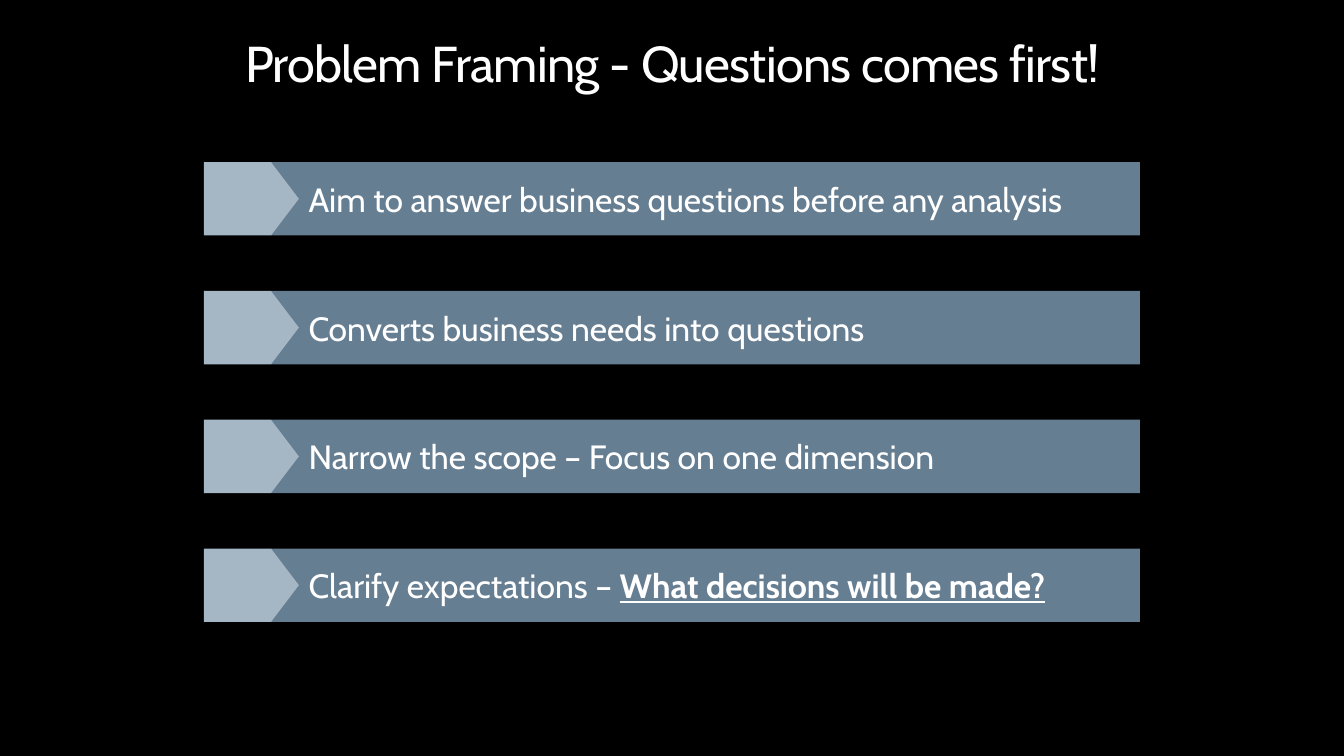
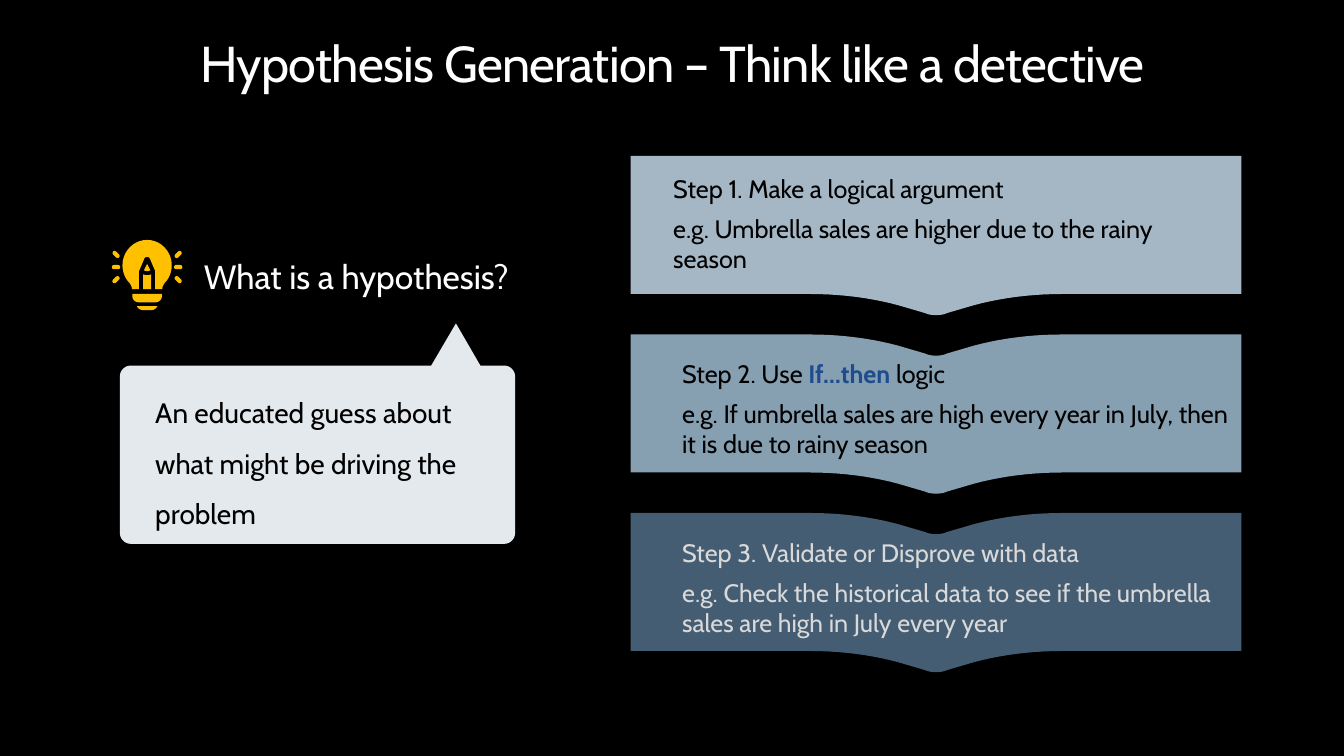
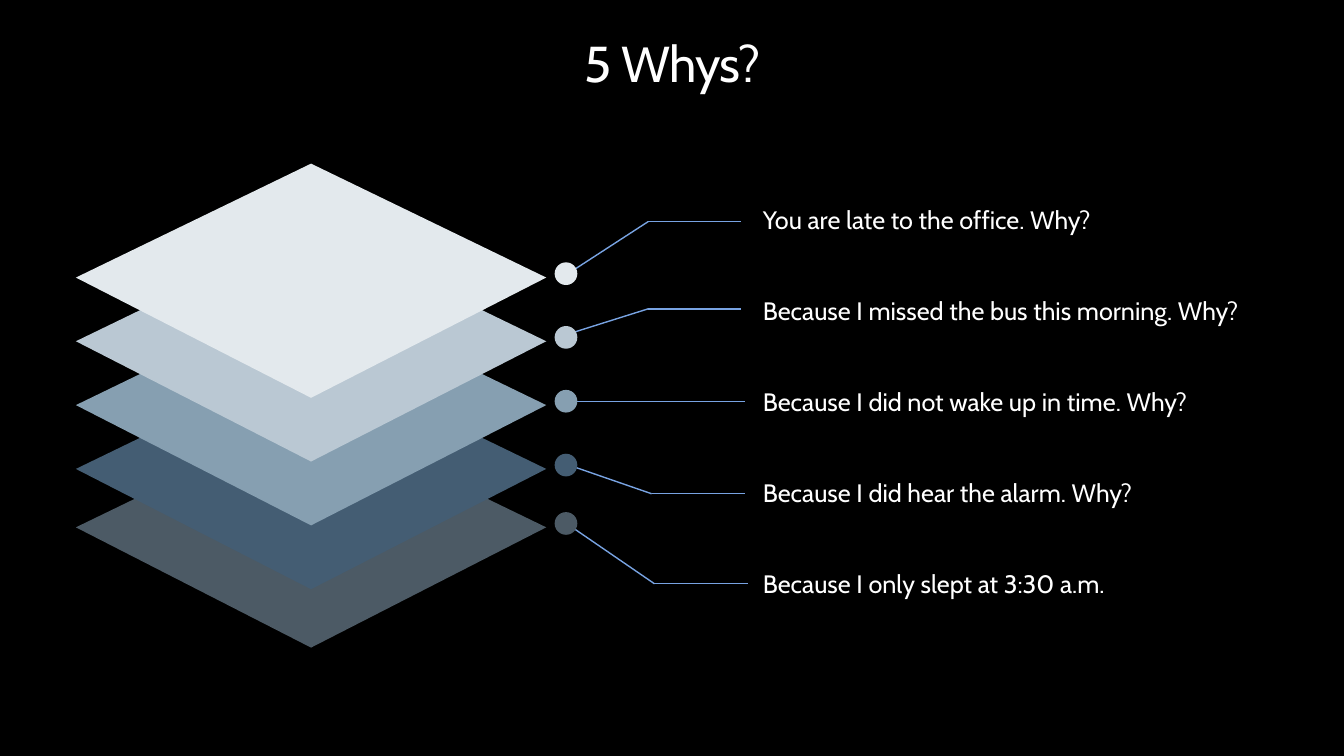
from dataclasses import dataclass
from itertools import pairwise
from pptx import Presentation
from pptx.dml.color import RGBColor
from pptx.enum.shapes import MSO_CONNECTOR, MSO_SHAPE
from pptx.enum.text import MSO_ANCHOR, PP_ALIGN
from pptx.oxml.ns import qn
from pptx.util import Pt


@dataclass(frozen=True)
class Theme:
    font: str = "Cabin"
    back: str = "000000"
    white: str = "FFFFFF"
    black: str = "000000"
    soft: str = "D9D9D9"
    accent: str = "1F4C8E"
    bar: str = "667E92"
    tab: str = "A5B7C5"
    pale: str = "E3E9ED"
    mist: str = "BAC8D3"
    steel: str = "869FB1"
    navy: str = "445D73"
    slate: str = "4C5A65"
    gold: str = "FFC000"
    lead: str = "78A3E2"
    title: int = 36
    head: int = 24
    note: int = 20
    body: int = 18


T = Theme()

FRAMING = "Problem Framing - Questions comes first!"
STRONG = {"bold": True, "underline": True}
BARS = [
    [("Aim to answer business questions before any analysis", {})],
    [("Converts business needs into questions", {})],
    [("Narrow the scope – Focus on one dimension", {})],
    [("Clarify expectations – ", {}), ("What decisions will be made?", STRONG)],
]

GUESS = "Hypothesis Generation – Think like a detective"
ASK = "What is a hypothesis?"
REPLY = "An educated guess about what might be driving the problem"
STEPS = [
    (T.tab, T.black, 473.8, 8.8,
     [("Step 1. Make a logical argument", {})],
     "e.g. Umbrella sales are higher due to the rainy season"),
    (T.steel, T.black, 480.2, 13.8,
     [("Step 2. Use ", {}), ("If…then ", {"bold": True, "ink": T.accent}),
      ("logic", {})],
     "e.g. If umbrella sales are high every year in July, "
     "then it is due to rainy season"),
    (T.navy, T.soft, 480.2, 13.8,
     [("Step 3. Validate or Disprove with data", {})],
     "e.g. Check the historical data to see if the umbrella "
     "sales are high in July every year"),
]

WHYS = "5 Whys?"
LAYERS = [
    ("You are late to the office. Why?", T.pale, 116.9,
     [(405.4, 195.7), (463, 158.3), (529.2, 158.3)]),
    ("Because I missed the bus this morning. Why?", T.mist, 162.4,
     [(409, 237.6), (463, 220.6), (529.2, 220.6)]),
    ("Because I did not wake up in time. Why?", T.steel, 208,
     [(409, 286.7), (532, 286.7)]),
    ("Because I did hear the alarm. Why?", T.navy, 253.6,
     [(407.5, 332.6), (465.5, 352.7), (532, 352.7)]),
    ("Because I only slept at 3:30 a.m.", T.slate, 295.3,
     [(405.4, 374.4), (467.5, 417), (534.2, 417)]),
]

BULB = [
    [(0, 171.4), (9.7, 171.4, 17.6, 179.6, 17.6, 189.4),
     (17.6, 193.7, 16.2, 197.7, 13.7, 200.9),
     (12.2, 202.3, 10.8, 204.5, 10.8, 206.6), (5.8, 206.6), (5.8, 193.7),
     (1.8, 184.3), (1.4, 183.8, 0.7, 183.6, 0, 183.6)],
    [(0, 188.6), (2.3, 193.1), (1.5, 193.5, 0.7, 193.7, 0, 193.7)],
    [(0, 196.6), (1, 196.6, 2, 196.3, 2.9, 195.9), (2.9, 206.6), (0, 206.6)],
    [(0, 210), (10.5, 210), (10.5, 211.7),
     (10.5, 214, 8.6, 216, 5.8, 216), (0, 216)],
    [(0, 218.7), (7.3, 218.7), (6.5, 220.4, 4.9, 221.5, 2.9, 221.5),
     (0, 221.5)],
]
DIP = [(90, 0), (67.8, 0, 46, 2.9, 27.4, 7.9), (7.9, 13.6),
       (5.4, 14.8, 2.7, 15.1, 0, 15.1)]
LAYER = [(0, 0), (168, 81.4), (0, 167.3)]


def box(x, y, w, h):
    return Pt(x), Pt(y), Pt(w), Pt(h)


def rgb(hue):
    return RGBColor.from_string(hue)


def apply(item, vals):
    for name, val in vals.items():
        setattr(item, name, val)


def trace(path, cuts=10):
    pts = [path[0]]
    for step in path[1:]:
        if len(step) == 2:
            pts.append(step)
            continue
        knots = [pts[-1], step[:2], step[2:4], step[4:]]
        for i in range(1, cuts + 1):
            t = i / cuts
            s = 1 - t
            mix = (s ** 3, 3 * s * s * t, 3 * s * t * t, t ** 3)
            pts.append(tuple(sum(m * k[a] for m, k in zip(mix, knots))
                             for a in (0, 1)))
    return pts


def mirror(half, mid, top=0):
    left = [(-x, y) for x, y in reversed(half)]
    return [(mid + x, top + y) for x, y in half + left]


def paint(shape, hue):
    shape.shadow.inherit = False
    shape.fill.solid()
    shape.fill.fore_color.rgb = rgb(hue)
    shape.line.fill.background()
    return shape


def solid(shapes, kind, area, hue):
    return paint(shapes.add_shape(kind, *box(*area)), hue)


def outline(shapes, pts, hue):
    first, *rest = [(Pt(x), Pt(y)) for x, y in pts]
    pen = shapes.build_freeform(*first)
    pen.add_line_segments(rest, close=True)
    return paint(pen.convert_to_shape(), hue)


def write(shape, paras, size, ink, frame=None, form=None):
    text = shape.text_frame
    apply(text, {"word_wrap": True, **(frame or {})})
    for i, runs in enumerate(paras):
        para = text.add_paragraph() if i else text.paragraphs[0]
        apply(para, {"alignment": PP_ALIGN.LEFT, **(form or {})})
        if i:
            para.space_before = Pt(6.8)
        for words, extra in runs:
            run = para.add_run()
            run.text = words
            look = {"name": T.font, "size": Pt(size), **extra}
            run.font.color.rgb = rgb(look.pop("ink", ink))
            apply(run.font, look)


def label(slide, area, paras, size, ink):
    write(slide.shapes.add_textbox(*box(*area)), paras, size, ink)


def line(slide, start, end):
    ends = [Pt(v) for v in (*start, *end)]
    link = slide.shapes.add_connector(MSO_CONNECTOR.STRAIGHT, *ends)
    link.line.color.rgb = rgb(T.lead)
    link.line.width = Pt(1)
    props = link.element.spPr
    props.append(props.makeelement(qn("a:effectLst"), {}))


def setup():
    deck = Presentation()
    apply(deck, {"slide_width": Pt(960), "slide_height": Pt(540)})
    fill = deck.slide_master.background.fill
    fill.solid()
    fill.fore_color.rgb = rgb(T.back)
    place = dict(zip(("left", "top", "width", "height"),
                     box(32.4, 22.3, 895.7, 50.4)))
    apply(deck.slide_layouts[5].placeholders[0], place)
    return deck


def page(deck, title):
    slide = deck.slides.add_slide(deck.slide_layouts[5])
    head = slide.shapes.title
    write(head, [[(title, {})]], T.title, T.white,
          {"vertical_anchor": MSO_ANCHOR.MIDDLE},
          {"alignment": PP_ALIGN.CENTER, "line_spacing": 0.9})
    for props in head.element.iter(qn("a:rPr")):
        props.set("spc", "-50")
    return slide


def framing(deck):
    slide = page(deck, FRAMING)
    frame = {"vertical_anchor": MSO_ANCHOR.MIDDLE, "margin_left": Pt(26.8)}
    for i, runs in enumerate(BARS):
        top = 115.8 + 92 * i
        bar = solid(slide.shapes, MSO_SHAPE.RECTANGLE,
                    (193.6, top, 620.7, 52.4), T.bar)
        write(bar, [runs], T.head, T.white, frame)
        tab = solid(slide.shapes, MSO_SHAPE.PENTAGON,
                    (145.7, top, 67.8, 52.4), T.tab)
        tab.adjustments[0] = 0.38


def bulb(slide):
    mid = 105.1
    parts = slide.shapes.add_group_shape().shapes
    for half in BULB:
        outline(parts, mirror(trace(half), mid), T.gold)
    for side in (-1, 1):
        for row in (-1, 0, 1):
            area = (mid + 22.2 * side - 3, 190.8 + 9 * row - 1.5, 6, 3)
            ray = solid(parts, MSO_SHAPE.ROUNDED_RECTANGLE, area, T.gold)
            ray.adjustments[0] = 0.5
            ray.rotation = 45 * side * row


def callout(slide):
    x, y, r, b, c = 85.7, 261.2, 367.9, 388.4, 7.2
    path = [(x + c, y), (308, y), (325.7, 231), (343.2, y), (r - c, y),
            (r - c / 2, y, r, y + c / 2, r, y + c), (r, b - c),
            (r, b - c / 2, r - c / 2, b, r - c, b), (x + c, b),
            (x + c / 2, b, x, b - c / 2, x, b - c), (x, y + c),
            (x, y + c / 2, x + c / 2, y, x + c, y)]
    frame = {"vertical_anchor": MSO_ANCHOR.TOP, "margin_top": Pt(39.7),
             "margin_left": Pt(25.2), "margin_right": Pt(25.2)}
    write(outline(slide.shapes, trace(path), T.pale), [[(REPLY, {})]],
          T.note, T.black, frame, {"line_spacing": 1.5})


def guess(deck):
    slide = page(deck, GUESS)
    bulb(slide)
    label(slide, (138.5, 179.3, 260, 36), [[(ASK, {})]], T.head, T.white)
    callout(slide)
    dip = trace(DIP)
    tall, wide = 98.6, 218.2
    for i, (hue, ink, left, drop, head, case) in enumerate(STEPS):
        top = 111.4 + 127.5 * i
        notch = dip[::-1] if i else [(0, 0)]
        half = notch + [(wide, 0), (wide, tall)]
        half += [(x, y + tall) for x, y in dip]
        outline(slide.shapes, mirror(half, 668.6, top), hue)
        label(slide, (left, top + drop, 412.6, 80),
              [head, [(case, {})]], T.body, ink)


def whys(deck):
    slide = page(deck, WHYS)
    for words, hue, top, lead in reversed(LAYERS):
        outline(slide.shapes, mirror(LAYER, 222.2, top), hue)
        for start, end in pairwise(lead):
            line(slide, start, end)
        solid(slide.shapes, MSO_SHAPE.OVAL,
              (396.2, top + 70.5, 16.2, 16.2), hue)
    for i, (words, *rest) in enumerate(LAYERS):
        label(slide, (537.8, 142.5 + 65 * i, 386.6, 29),
              [[(words, {})]], T.body, T.white)


def main():
    deck = setup()
    for build in (framing, guess, whys):
        build(deck)
    deck.save("out.pptx")


if __name__ == "__main__":
    main()
